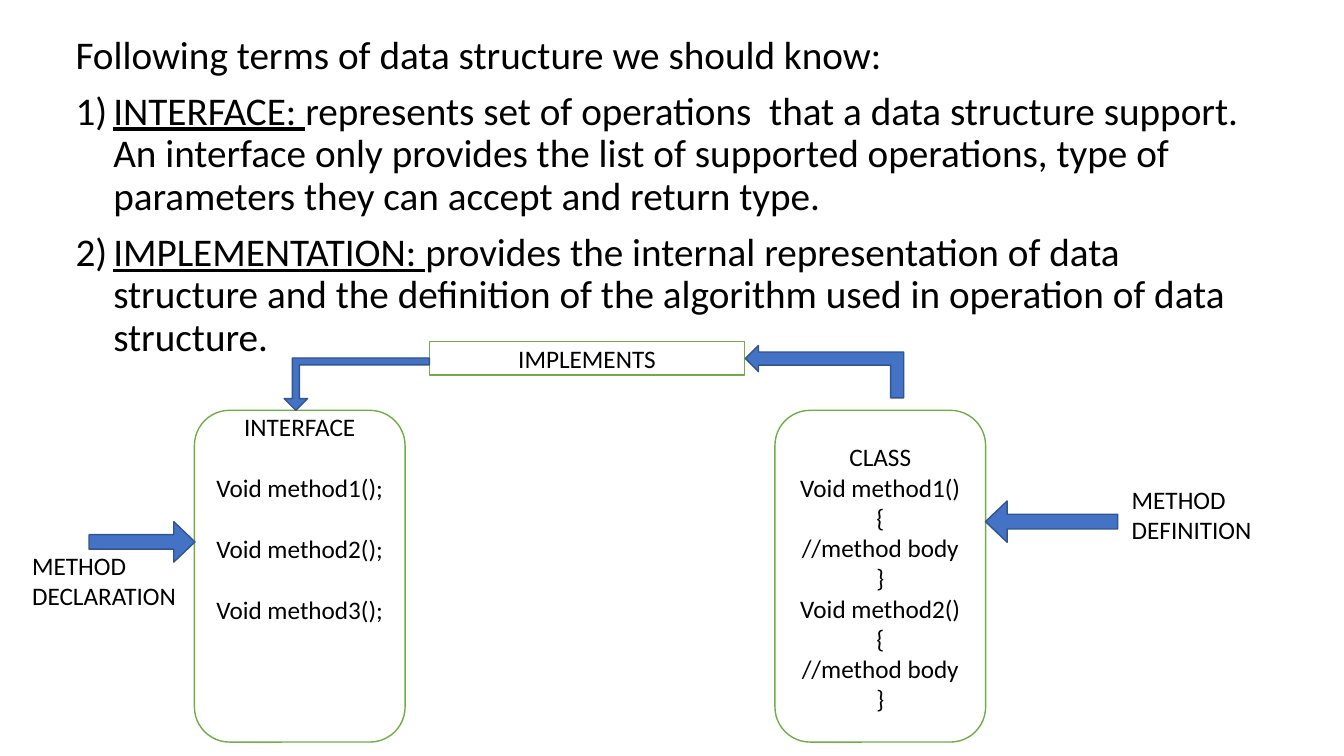
import pptx
import pptx.util
import pptx.dml.color
import pptx.enum.shapes
import pptx.enum.text
import pptx.oxml.ns
import lxml.etree

Cm = pptx.util.Cm
Pt = pptx.util.Pt
RGB = pptx.dml.color.RGBColor
KIND = pptx.enum.shapes.MSO_SHAPE
ALIGN = pptx.enum.text.PP_ALIGN
ANCHOR = pptx.enum.text.MSO_ANCHOR
FIT = pptx.enum.text.MSO_AUTO_SIZE

BLACK = RGB(0x00, 0x00, 0x00)
WHITE = RGB(0xFF, 0xFF, 0xFF)
GREEN = RGB(0x70, 0xAD, 0x47)
BLUE = RGB(0x44, 0x72, 0xC4)
NAVY = RGB(0x32, 0x54, 0x91)

BODY = {"name": "Calibri", "size": Pt(28)}
SMALL = {"name": "Calibri", "size": Pt(18)}

TERMS = [
    ("", "Following terms of data structure we should know:"),
    ("INTERFACE: ", "represents set of operations  that a data structure support. "
     "An interface only provides the list of supported operations, type of "
     "parameters they can accept and return type."),
    ("IMPLEMENTATION: ", "provides the internal representation of data structure "
     "and the definition of the algorithm used in operation of data structure."),
]
CALLS = ["INTERFACE", "Void method1();", "Void method2();", "Void method3();"]
CODE = ["CLASS"] + [
    line for num in (1, 2)
    for line in (f"Void method{num}()", "{", "//method body", "}")
]


def style(item, form):
    for key, val in form.items():
        setattr(item, key, val)


def ink(font, form):
    style(font, form)
    font.color.rgb = BLACK


def place(item, box):
    style(item, dict(zip(("left", "top", "width", "height"), map(Cm, box))))


def bullet(para, mark, dent):
    props = para._p.get_or_add_pPr()
    props.set("marL", str(dent))
    props.set("indent", str(-dent))
    node = lxml.etree.SubElement(props, pptx.oxml.ns.qn("a:" + mark))
    if mark == "buAutoNum":
        node.set("type", "arabicParenR")


def terms(slide, box):
    body = slide.placeholders[1]
    place(body, box)
    frame = body.text_frame
    style(frame, {"word_wrap": True, "auto_size": FIT.NONE,
                  "vertical_anchor": ANCHOR.TOP})
    for num, (head, text) in enumerate(TERMS):
        para = frame.add_paragraph() if num else frame.paragraphs[0]
        if head:
            bullet(para, "buAutoNum", Cm(0.95))
        else:
            bullet(para, "buNone", Cm(0))
        style(para, {"line_spacing": 0.9, "space_before": Pt(10 if num else 0),
                     "alignment": ALIGN.LEFT})
        for part, under in ((head, True), (text, False)):
            if part:
                run = para.add_run()
                run.text = part
                ink(run.font, {**BODY, "underline": under})


def shape(slide, kind, box, fill, edge):
    item = slide.shapes.add_shape(kind, *map(Cm, box))
    item.shadow.inherit = False
    item.fill.solid()
    item.fill.fore_color.rgb = fill
    item.line.color.rgb = edge
    item.line.width = Pt(1)
    return item


def panel(slide, kind, box, lines, gap=0, **form):
    frame = shape(slide, kind, box, WHITE, GREEN).text_frame
    style(frame, {"word_wrap": True, "margin_left": Cm(0.1), "margin_right": Cm(0.1),
                  "margin_top": Cm(0), "margin_bottom": Cm(0), **form})
    for num, line in enumerate(lines):
        para = frame.add_paragraph() if num else frame.paragraphs[0]
        para.text = line
        style(para, {"alignment": ALIGN.CENTER, "space_before": Pt(gap if num else 0)})
        ink(para.font, SMALL)


def arrow(slide, kind, box, turn, ratios=()):
    item = shape(slide, kind, box, BLUE, NAVY)
    item.rotation = turn
    for num, ratio in enumerate(ratios):
        item.adjustments[num] = ratio


def label(slide, box, text):
    frame = slide.shapes.add_textbox(*map(Cm, box)).text_frame
    frame.word_wrap = True
    para = frame.paragraphs[0]
    para.text = text
    ink(para.font, SMALL)


def diagram(slide, left, top):
    wide, high = 5.31, 8.36
    panel(slide, KIND.ROUNDED_RECTANGLE, (left, top, wide, high), CALLS, 22,
          vertical_anchor=ANCHOR.BOTTOM, margin_bottom=Cm(2.7))
    panel(slide, KIND.ROUNDED_RECTANGLE, (left + 14.63, top, wide, high), CODE,
          vertical_anchor=ANCHOR.BOTTOM, margin_bottom=Cm(0.45))
    panel(slide, KIND.RECTANGLE, (left + 5.92, top - 1.73, 7.95, 0.84),
          ["IMPLEMENTS"], vertical_anchor=ANCHOR.MIDDLE)
    bent, down = KIND.BENT_UP_ARROW, KIND.DOWN_ARROW
    slim = (0.357, 0.525)
    arrow(slide, bent, (left + 15.22, top - 2.97, 1.32, 3.99), 270)
    arrow(slide, bent, (left + 2.26, top - 1.32, 3.66, 1.32), 180, (0.132, 0.224, 0.224))
    arrow(slide, down, (left + 21.08, top + 1.14, 1.04, 3.33), 90, slim)
    arrow(slide, down, (left - 1.83, top + 1.98, 1.02, 2.67), 270, slim)
    label(slide, (left + 23.37, top + 1.73, 4.85, 1.8), "METHOD DEFINITION")
    label(slide, (left - 4.34, top + 3.4, 4.85, 1.8), "METHOD DECLARATION")


def main():
    deck = pptx.Presentation()
    style(deck, {"slide_width": Cm(33.87), "slide_height": Cm(19.05)})
    slide = deck.slides.add_slide(deck.slide_layouts[1])
    title = slide.shapes.title.element
    title.getparent().remove(title)
    terms(slide, (1.65, 0.76, 30.07, 15.9))
    diagram(slide, 4.9, 10.34)
    deck.save("out.pptx")


if __name__ == "__main__":
    main()
